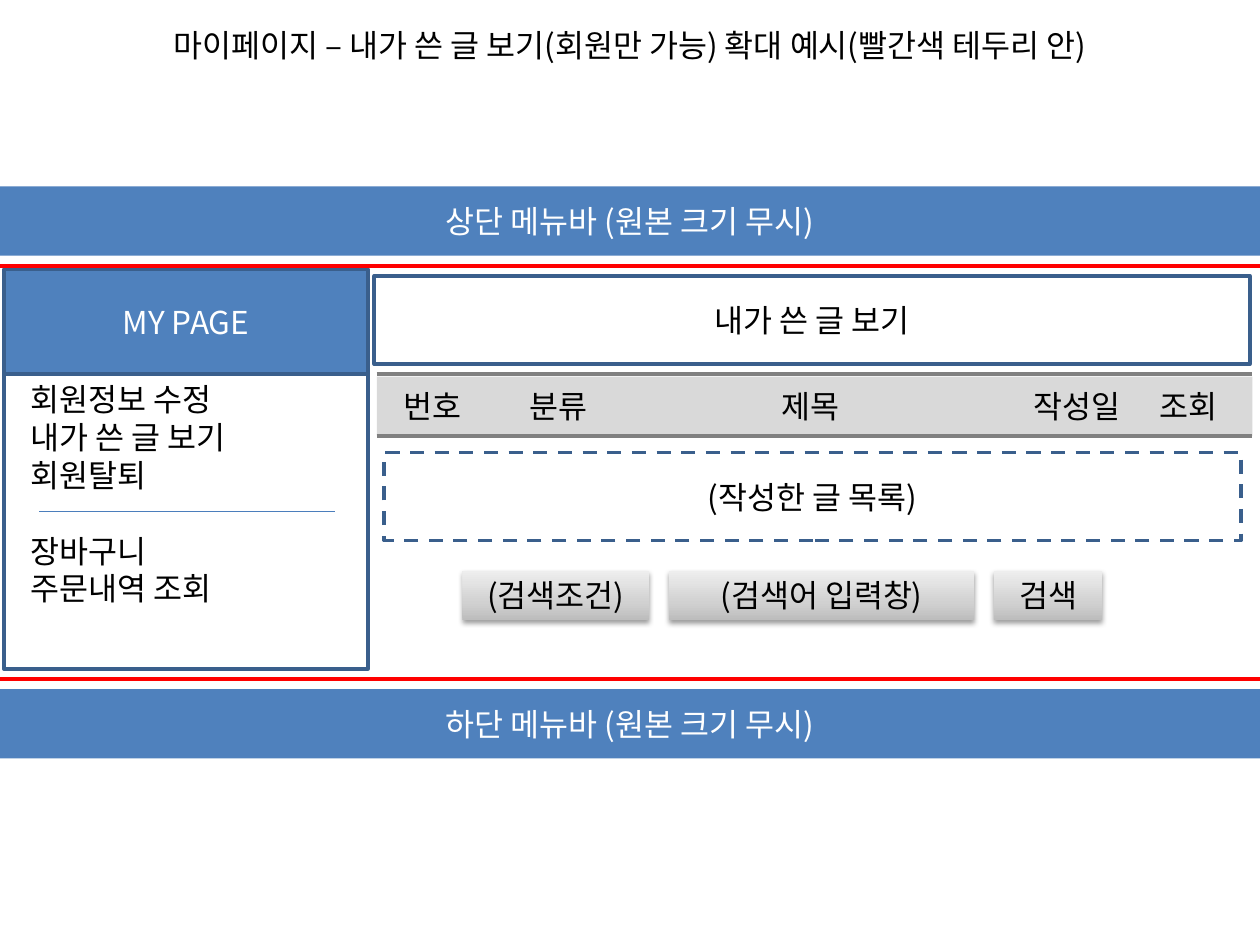
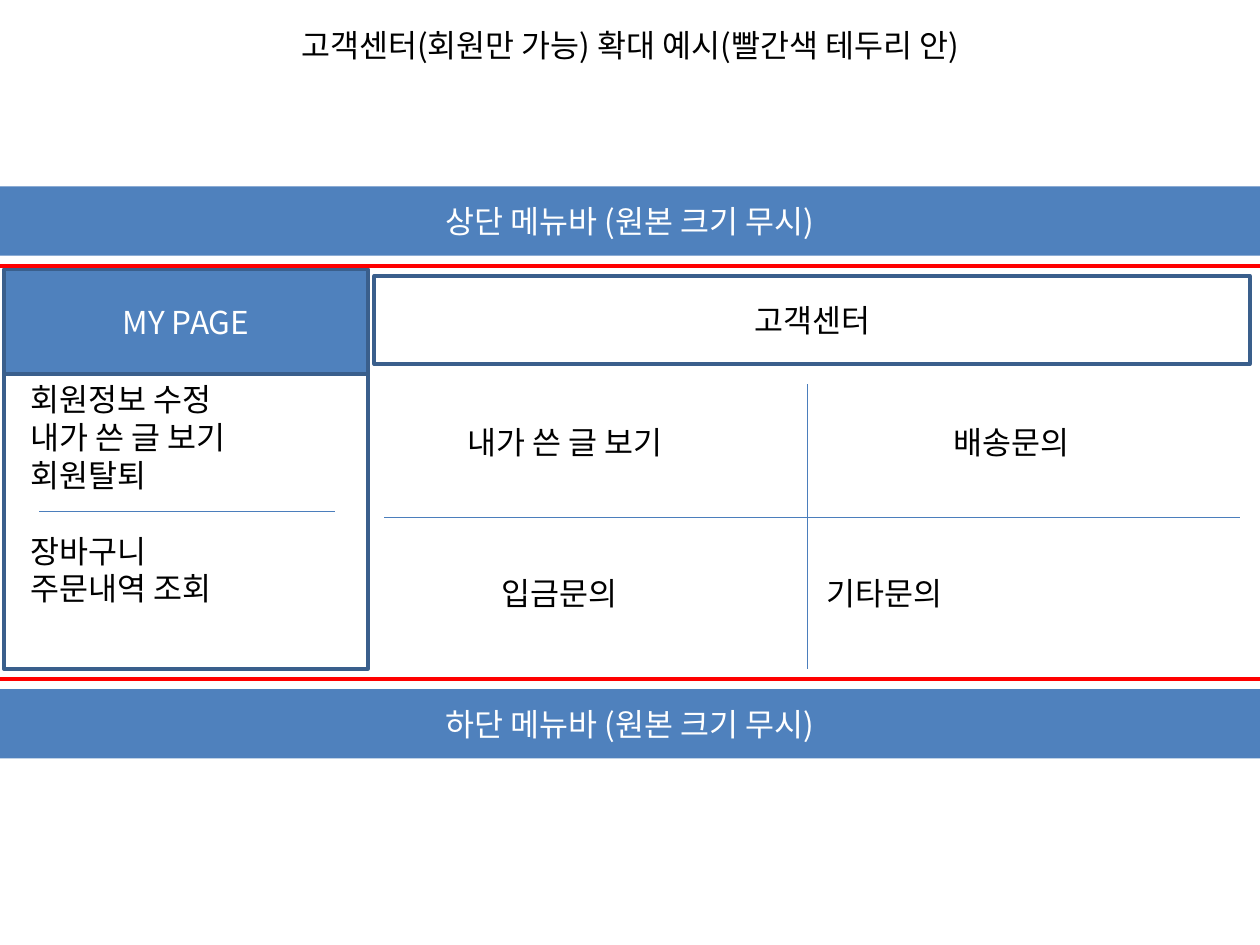
from lxml import etree
from pptx import Presentation
from pptx import util as u
from pptx.dml import color
from pptx.enum import dml, shapes, text
from pptx.oxml import ns, parse_xml

HEX = {"ink": "000000", "white": "FFFFFF", "blue": "4F81BD", "navy": "3A5F8C",
       "thin": "4B7EBC", "red": "FF0000", "pale": "D9D9D9", "gray": "808080"}
FONT = "Noto Sans CJK KR"
SIZE = u.Pt(18)
LINE = 0.3  # height of one text line in inches
FADE = [(0, "BDBDBD"), (35, "D1D1D1"), (100, "EEEEEE")]
MENU = ["회원정보 수정", "내가 쓴 글 보기", "회원탈퇴", "장바구니", "주문내역 조회"]


def rgb(name):
    return color.RGBColor.from_string(HEX[name])


class Page:
    def __init__(self, deck):
        self.deck = deck
        self.slide = None

    def start(self, title):
        """Add a slide and set its title."""
        self.slide = self.deck.slides.add_slide(self.deck.slide_layouts[5])
        head = self.slide.shapes.title
        head.left, head.top = u.Inches(0), u.Inches(0.16)
        head.width, head.height = u.Inches(10), u.Inches(0.4)
        self.label(head, [title], anchor=text.MSO_ANCHOR.TOP)

    def label(self, shape, lines, ink="ink", align=text.PP_ALIGN.CENTER,
              anchor=text.MSO_ANCHOR.MIDDLE, gaps=None, tabs=None):
        """Gaps and tabs map a line number to inches and to tab stops."""
        frame = shape.text_frame
        frame.text = "\n".join(lines)
        frame.word_wrap = True
        frame.auto_size = text.MSO_AUTO_SIZE.NONE
        frame.vertical_anchor = anchor
        for num, para in enumerate(frame.paragraphs):
            para.alignment = align
            if gaps and num in gaps:
                para.space_before = u.Inches(gaps[num])
            if tabs:
                self.stops(para, tabs[num])
            for run in para.runs:
                run.font.size = SIZE
                run.font.name = FONT
                run.font.color.rgb = rgb(ink)
                etree.SubElement(run.font._element, ns.qn("a:ea"), typeface=FONT)

    def stops(self, para, spots):
        props = para._p.get_or_add_pPr()
        tabs = etree.SubElement(props, ns.qn("a:tabLst"))
        for spot in spots:
            etree.SubElement(tabs, ns.qn("a:tab"), pos=str(u.Inches(spot)), algn="l")

    def rect(self, at, words=None, fill=None, edge=None, ink="ink", dash=False):
        shape = self.slide.shapes.add_shape(
            shapes.MSO_SHAPE.RECTANGLE, *map(u.Inches, at))
        shape.shadow.inherit = False
        if fill:
            shape.fill.solid()
            shape.fill.fore_color.rgb = rgb(fill)
        else:
            shape.fill.background()
        if edge:
            shape.line.color.rgb = rgb(edge)
            shape.line.width = u.Pt(2)
            if dash:
                shape.line.dash_style = dml.MSO_LINE.DASH
        else:
            shape.line.fill.background()
        if words:
            self.label(shape, [words], ink)
        return shape

    def block(self, at, lines, **style):
        box = self.slide.shapes.add_textbox(*map(u.Inches, at))
        self.label(box, lines, align=text.PP_ALIGN.LEFT,
                   anchor=text.MSO_ANCHOR.TOP, **style)
        return box

    def rule(self, x1, y1, x2, y2, tint="thin", width=0.75):
        line = self.slide.shapes.add_connector(
            shapes.MSO_CONNECTOR.STRAIGHT, *map(u.Inches, (x1, y1, x2, y2)))
        line.line.color.rgb = rgb(tint)
        line.line.width = u.Pt(width)
        etree.SubElement(line._element.spPr, ns.qn("a:effectLst"))

    def button(self, left, width, words):
        """Gray gradient button with a soft shadow below it."""
        shape = self.rect((left, 4.53, width, 0.39), words)
        props = shape._element.spPr
        stops = "".join(f'<a:gs pos="{pos * 1000}"><a:srgbClr val="{tint}"/></a:gs>'
                        for pos, tint in FADE)
        fade = parse_xml(f'<a:gradFill {ns.nsdecls("a")} rotWithShape="1"><a:gsLst>'
                         f'{stops}</a:gsLst><a:lin ang="16200000"/></a:gradFill>')
        props.replace(props.find(ns.qn("a:noFill")), fade)
        glow = parse_xml(
            f'<a:outerShdw {ns.nsdecls("a")} blurRad="{u.Pt(3.1)}" dist="{u.Pt(1.6)}" '
            'dir="5400000" rotWithShape="0"><a:srgbClr val="000000">'
            '<a:alpha val="38000"/></a:srgbClr></a:outerShdw>')
        props.find(ns.qn("a:effectLst")).append(glow)

    def shell(self, title, head):
        """Parts that every page shares: bars, red frame, side menu, heading."""
        self.start(title)
        for top, name in ((1.48, "상단"), (5.47, "하단")):
            self.rect((0, top, 10, 0.55), f"{name} 메뉴바 (원본 크기 무시)",
                      fill="blue", ink="white")
        self.rect((-0.23, 2.11, 10.47, 3.28), edge="red")
        # Side menu
        self.rect((0.03, 2.14, 2.89, 0.83), "MY PAGE", "blue", "navy", "white")
        menu = self.block((0, 2.97, 3.05, 1.92), MENU, gaps={3: LINE})
        menu.text_frame.margin_left = u.Inches(0.24)
        self.rect((0.03, 2.14, 2.89, 3.17), edge="navy")
        self.rule(0.31, 4.06, 2.66, 4.06)
        # Heading
        self.rect((2.97, 2.19, 6.95, 0.7), head, edge="navy")


def posts(page):
    page.shell("마이페이지 – 내가 쓴 글 보기(회원만 가능) 확대 예시(빨간색 테두리 안)",
               "내가 쓴 글 보기")
    # Column heads
    heads = page.rect((2.99, 2.99, 6.95, 0.47), fill="pale")
    page.label(heads, ["번호\t분류\t제목\t작성일\t조회"],
               align=text.PP_ALIGN.LEFT, tabs=[(1, 3, 5, 6)])
    heads.text_frame.margin_left = u.Inches(0.21)
    for y in (2.97, 3.46):
        page.rule(2.99, y, 9.94, y, "gray", 2.25)
    # Search row
    left = 3.67
    for width, words in ((1.48, "(검색조건)"), (2.42, "(검색어 입력창)"), (0.86, "검색")):
        page.button(left, width, words)
        left += width + 0.16
    # List area
    page.rect((3.05, 3.59, 6.8, 0.7), "(작성한 글 목록)", edge="navy", dash=True)


def center(page):
    page.shell("고객센터(회원만 가능) 확대 예시(빨간색 테두리 안)", "고객센터")
    # Four topics split by a cross
    page.block((3.05, 3.31, 6.8, 1.62),
               ["\t내가 쓴 글 보기\t배송문의", "\t입금문의\t기타문의"],
               gaps={1: 3 * LINE}, tabs=[(0.56, 4.42), (0.83, 3.41)])
    page.rule(3.05, 4.11, 9.84, 4.11)
    page.rule(6.41, 3.05, 6.41, 5.31)


def main():
    deck = Presentation()
    deck.slide_width, deck.slide_height = u.Inches(10), u.Inches(7.5)
    page = Page(deck)
    posts(page)
    center(page)
    deck.save("out.pptx")


if __name__ == "__main__":
    main()
